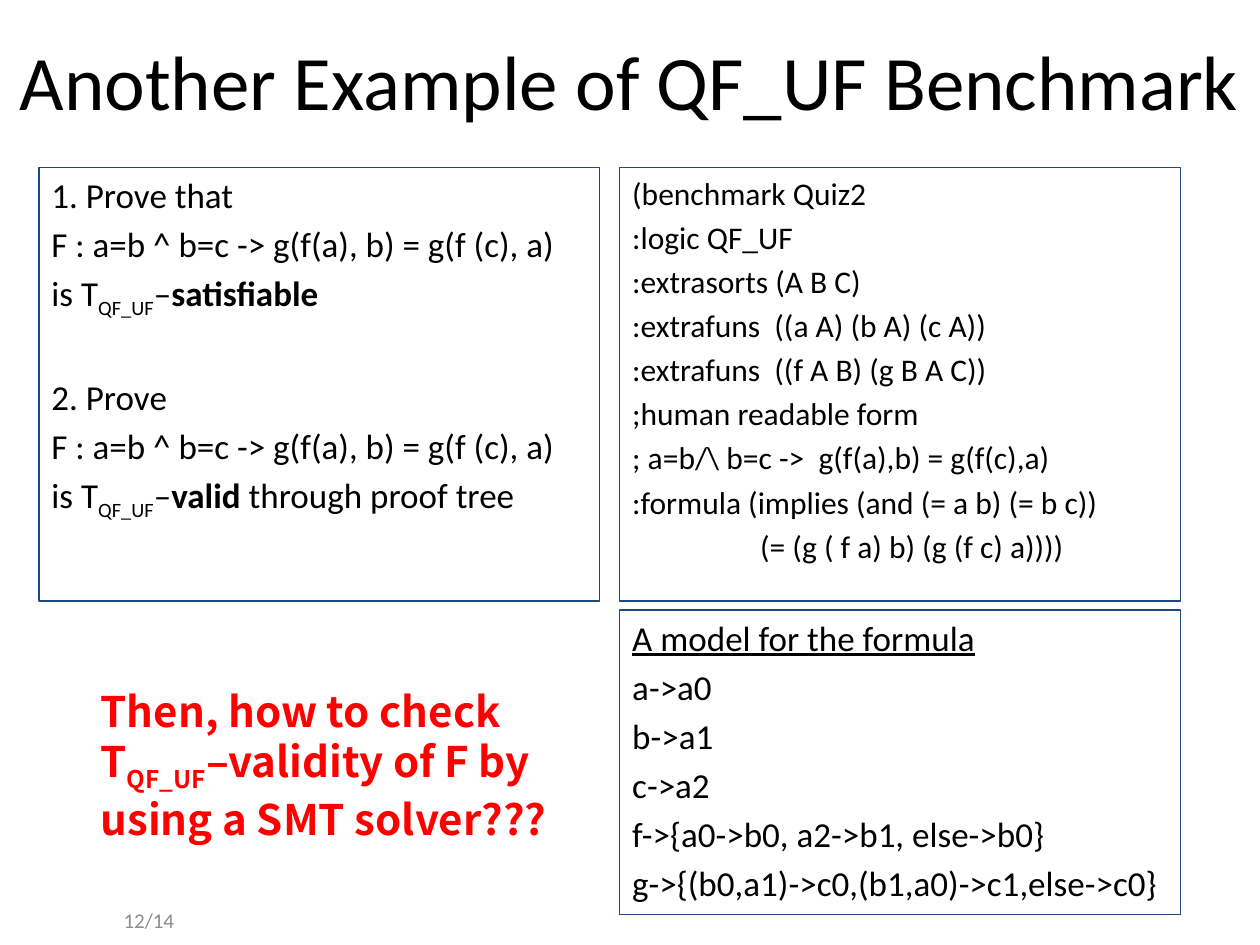
from pptx import Presentation
from pptx.dml.color import RGBColor as RGB
from pptx.enum.shapes import MSO_SHAPE as SHAPE
from pptx.enum.text import MSO_ANCHOR as ANCHOR, PP_ALIGN as ALIGN
from pptx.util import Pt

HUES = {"ink": "000000", "edge": "1F497D", "alert": "FF0000", "page": "8C8C8C"}
SANS, HEAVY = "Calibri", "Noto Sans CJK KR"

TITLE = "Another Example of QF_UF Benchmark"
PAGE = "12/14"
GOAL = "F : a=b ^ b=c -> g(f(a), b) = g(f (c), a)"
SUB = ("QF_UF", "sub")

TASKS = [
    ["1. Prove that"],
    [GOAL],
    ["is T", SUB, "–", ("satisfiable", "bold")],
    ["2. Prove"],
    [GOAL],
    ["is T", SUB, "–", ("valid", "bold"), " through proof tree"],
]
CODE = [
    ["(benchmark Quiz2"],
    [":logic QF_UF"],
    [":extrasorts (A B C)"],
    [":extrafuns  ((a A) (b A) (c A))"],
    [":extrafuns  ((f A B) (g B A C))"],
    [";human readable form"],
    ["; a=b/\\ b=c ->  g(f(a),b) = g(f(c),a)"],
    [":formula (implies (and (= a b) (= b c))"],
    ["                  (= (g ( f a) b) (g (f c) a))))"],
]
MODEL = [
    [("A model for the formula", "under")],
    ["a->a0"],
    ["b->a1"],
    ["c->a2"],
    ["f->{a0->b0, a2->b1, else->b0}"],
    ["g->{(b0,a1)->c0,(b1,a0)->c1,else->c0}"],
]
ASK = [
    ["Then, how to check"],
    ["T", SUB, "–validity of F by"],
    ["using a SMT solver???"],
]

LEFT, TOP, WIDE, TALL = 22.3, 95.8, 320.4, 247.7
RIGHT, LOW = 354.2, 348.5
PANELS = [
    (TASKS, LEFT, TOP, TALL, 20, {3: 32}),
    (CODE, RIGHT, TOP, TALL, 18, {}),
    (MODEL, RIGHT, LOW, 174.2, 20, {}),
]


def style(font, size, hue, face=SANS):
    font.name = face
    font.size = Pt(size)
    font.color.rgb = RGB.from_string(HUES[hue])


def write(frame, lines, size, hue="ink", face=SANS, bold=False, lead=0, gaps={}):
    for i, line in enumerate(lines):
        para = frame.add_paragraph() if i else frame.paragraphs[0]
        para.alignment = ALIGN.LEFT
        para.space_before = Pt(gaps.get(i, lead) if i else 0)
        for part in line:
            text, look = (part, "") if isinstance(part, str) else part
            run = para.add_run()
            run.text = text
            style(run.font, size, hue, face)
            run.font.bold = bold or look == "bold"
            run.font.underline = look == "under"
            if look == "sub":
                run._r.get_or_add_rPr().set("baseline", "-25000")


def panel(slide, lines, x, y, tall, size, gaps):
    box = slide.shapes.add_shape(SHAPE.RECTANGLE, Pt(x), Pt(y), Pt(WIDE), Pt(tall))
    box.shadow.inherit = False
    box.fill.background()
    box.line.color.rgb = RGB.from_string(HUES["edge"])
    box.line.width = Pt(0.75)
    box.text_frame.word_wrap = True
    box.text_frame.vertical_anchor = ANCHOR.TOP
    write(box.text_frame, lines, size, lead=size * 0.2, gaps=gaps)


def main():
    deck = Presentation()
    deck.slide_width, deck.slide_height = Pt(720), Pt(540)
    slide = deck.slides.add_slide(deck.slide_layouts[5])

    title = slide.shapes.title
    title.left, title.top, title.width, title.height = Pt(0), Pt(11.5), Pt(720), Pt(67.7)
    frame = title.text_frame
    frame.text = TITLE
    frame.vertical_anchor = ANCHOR.MIDDLE
    frame.paragraphs[0].alignment = ALIGN.CENTER
    style(frame.paragraphs[0].runs[0].font, 44, "ink")

    page = slide.shapes.add_textbox(Pt(36), Pt(511.2), Pt(70.6), Pt(28.8)).text_frame
    page.word_wrap = True
    page.vertical_anchor = ANCHOR.MIDDLE
    write(page, [[PAGE]], 12, "page")
    page.paragraphs[0].alignment = ALIGN.RIGHT

    for spec in PANELS:
        panel(slide, *spec)

    ask = slide.shapes.add_textbox(Pt(50.4), Pt(388.1), Pt(277.2), Pt(94.3)).text_frame
    ask.word_wrap = False
    write(ask, ASK, 24, "alert", HEAVY, bold=True)

    deck.save("out.pptx")


if __name__ == "__main__":
    main()
